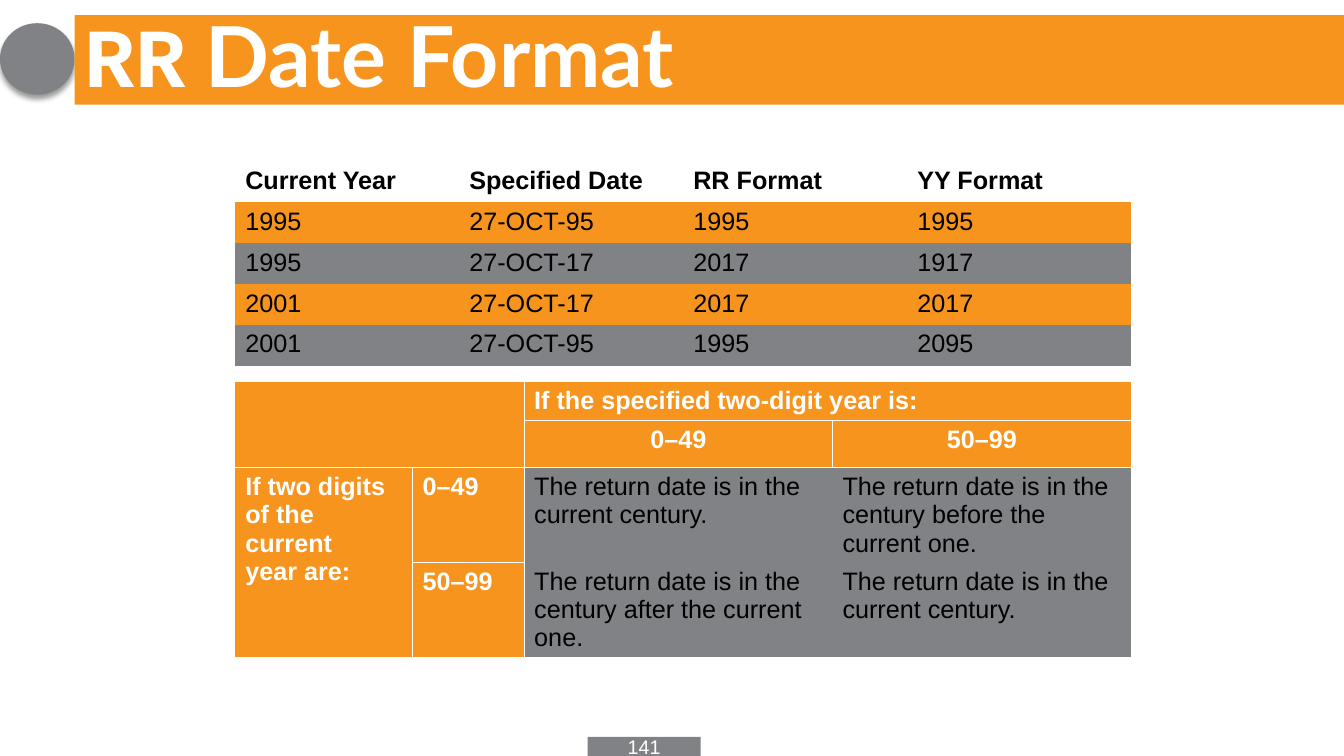
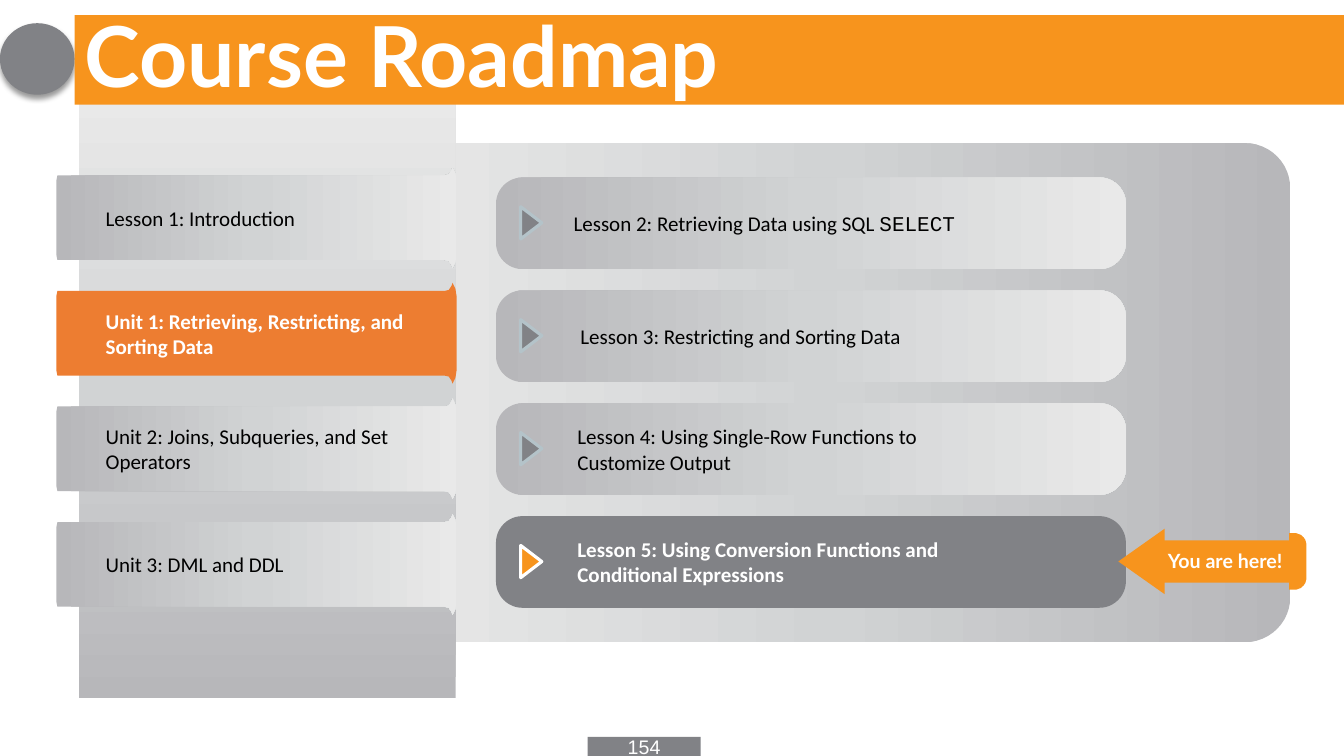
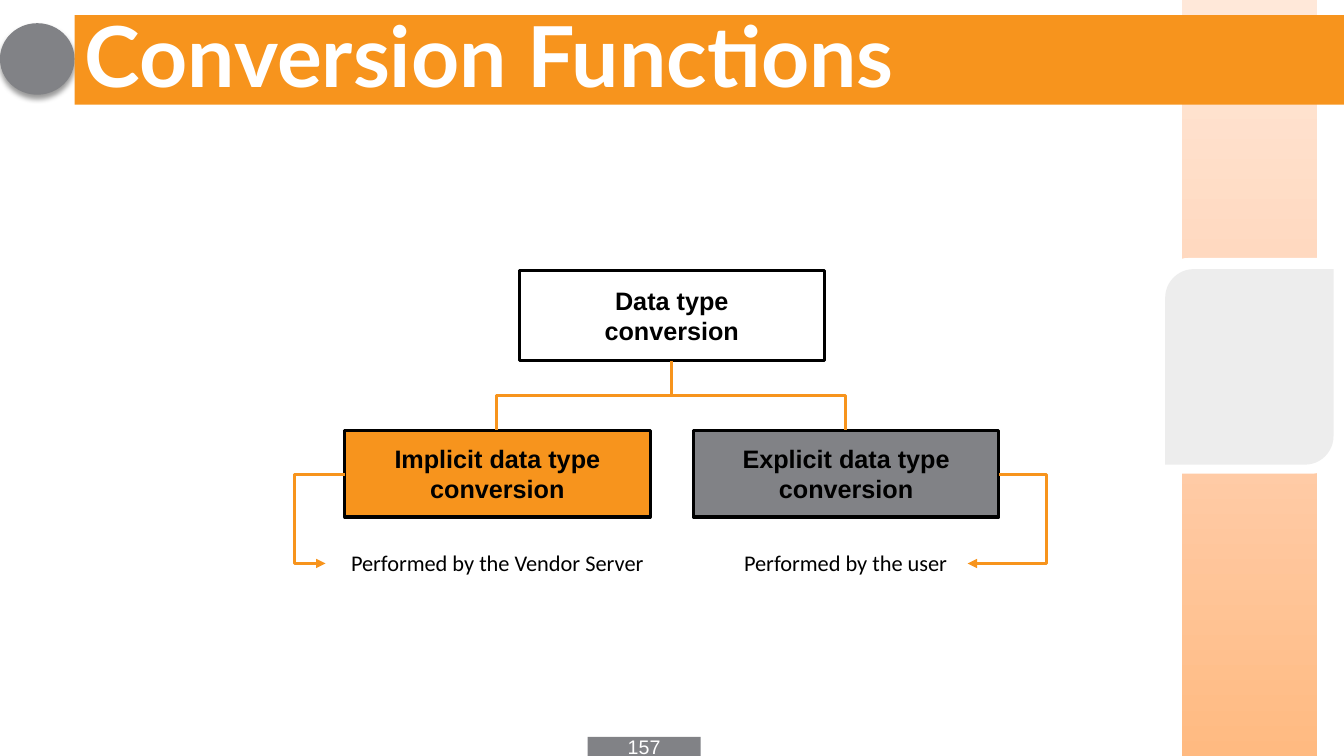
"""Builds three course slides: date formats, a roadmap and data type conversion."""
import lxml.etree
import pptx
import pptx.dml.color
import pptx.enum.shapes
import pptx.enum.text
import pptx.oxml
import pptx.oxml.ns
import pptx.util

SHAPE = pptx.enum.shapes.MSO_SHAPE
ALIGN = pptx.enum.text.PP_ALIGN
ANCHOR = pptx.enum.text.MSO_ANCHOR
RGB = pptx.dml.color.RGBColor.from_string
QN = pptx.oxml.ns.qn
NS = pptx.oxml.ns.nsdecls("a")
COLS, ROWS = 160, 90
CELL = pptx.util.Inches(1 / 12)


class Theme:
    orange, grey, unit = "F7941D", "818286", "ED7D31"
    black, white, pale, edge = "000000", "FFFFFF", "EDEDED", "B4C3C9"
    silver = ("B7B7BA", "D1D3D4", "E9E9E9")
    peach = ("FFBA81", "FFD1B3", "FFE8D9")
    mono = "Courier New"
    title = dict(size=60, name="Lato", bold=True, color=white)
    number = dict(size=14, name="Arial", bold=False, color=white)
    cell = dict(size=18, name="Arial", bold=False, color=black)
    head = dict(cell, bold=True)
    head_white = dict(head, color=white)
    item = dict(size=15, name="Calibri", bold=False, color=black)
    item_on = dict(item, bold=True, color=white)
    caption = dict(item, size=16)
    marker = dict(title, size=14)


def draw(shapes, kind, box, fill=None, line=None, adj=(), turn=0):
    x, y, w, h = [round(v * CELL) for v in box]
    if kind is None:
        sp = shapes.add_textbox(x, y, w, h)
    elif isinstance(kind, list):
        outline = kind + [(px, box[3] - py) for px, py in reversed(kind)]
        pts = [(x + round(px * CELL), y + round(py * CELL)) for px, py in outline]
        fb = shapes.build_freeform(*pts[0], scale=1.0)
        fb.add_line_segments(pts[1:], close=True)
        sp = fb.convert_to_shape()
    else:
        sp = shapes.add_shape(kind, x, y, w, h)
    sp.text_frame.word_wrap = True
    sp.text_frame.vertical_anchor = ANCHOR.MIDDLE
    if kind is None:
        return sp
    sp.shadow.inherit = False
    sp.rotation = turn
    for i, value in enumerate(adj):
        sp.adjustments[i] = value
    if isinstance(fill, tuple):
        colors, angle = fill
        stops = "".join(f'<a:gs pos="{i * 50000}"><a:srgbClr val="{c}"/></a:gs>'
                        for i, c in enumerate(colors))
        sp.element.spPr.insert(2, pptx.oxml.parse_xml(
            f'<a:gradFill {NS} rotWithShape="1"><a:gsLst>{stops}</a:gsLst>'
            f'<a:lin ang="{angle * 60000}" scaled="0"/></a:gradFill>'))
    elif fill:
        sp.fill.solid()
        sp.fill.fore_color.rgb = RGB(fill)
    else:
        sp.fill.background()
    if line:
        sp.line.color.rgb = RGB(line)
        sp.line.width = pptx.util.Pt(2.25)
    else:
        sp.line.fill.background()
    return sp


def write(tf, text, look, align=ALIGN.LEFT):
    for i, row in enumerate(text.split("\n")):
        p = tf.add_paragraph() if i else tf.paragraphs[0]
        p.alignment = align
        for j, part in enumerate(row.split("`")):
            if not part:
                continue
            r = p.add_run()
            r.text = part
            name = Theme.mono if j % 2 else look["name"]
            font = dict(size=pptx.util.Pt(look["size"]), bold=look["bold"], name=name)
            for key, value in font.items():
                setattr(r.font, key, value)
            r.font.color.rgb = RGB(look["color"])


prs = pptx.Presentation()
prs.slide_width, prs.slide_height = COLS * CELL, ROWS * CELL
layout = prs.slide_layouts[5]
dates, roadmap, conversion = [prs.slides.add_slide(layout) for _ in range(3)]

disc = draw(dates.shapes, SHAPE.OVAL, (0, 2.76, 8.88, 8.52), Theme.grey)
disc.element.xpath(".//p:cNvPr")[0].set("id", "20")
disc.element.spPr.find(QN("a:effectLst")).append(pptx.oxml.parse_xml(
    f'<a:outerShdw {NS} blurRad="50800" dist="38100" dir="5400000" algn="t" rotWithShape="0">'
    '<a:srgbClr val="000000"><a:alpha val="40000"/></a:srgbClr></a:outerShdw>'))
layout.shapes.element.append(disc.element)

cell_styles = {
    "h": (None, Theme.head, ALIGN.LEFT),
    "o": (Theme.orange, Theme.cell, ALIGN.LEFT),
    "g": (Theme.grey, Theme.cell, ALIGN.LEFT),
    "b": (Theme.orange, Theme.head_white, ALIGN.LEFT),
    "c": (Theme.orange, Theme.head_white, ALIGN.CENTER),
}
year_rows = [
    ("Current Year", "Specified Date", "RR Format", "YY Format"),
    ("1995", "27-OCT-95", "1995", "1995"),
    ("1995", "27-OCT-17", "2017", "1917"),
    ("2001", "27-OCT-17", "2017", "2017"),
    ("2001", "27-OCT-95", "1995", "2095"),
]
rule_rows = [
    ("", "", "If the specified two-digit year is:", ""),
    ("", "", "0–49", "50–99"),
    ("If two digits of the current\nyear are:", "0–49",
     "The return date is in the current century.",
     "The return date is in the century before the current one."),
    ("", "50–99", "The return date is in the century after the current one.",
     "The return date is in the current century."),
]
tables = [
    (19.2, [26.67] * 4, [4.88] * 5, year_rows, ["hhhh", "oooo", "gggg", "oooo", "gggg"], []),
    (45.48, [21.1, 13.3, 36.7, 35.6], [4.6, 5.6, 11.3, 11.3], rule_rows,
     ["bbbb", "bbcc", "bbgg", "bbgg"],
     [(0, 0, 1, 1), (0, 2, 0, 3), (2, 0, 3, 0)]),
]
for top, widths, heights, texts, keys, merges in tables:
    box = [round(v * CELL) for v in (28, top, sum(widths), sum(heights))]
    gf = dates.shapes.add_table(len(heights), len(widths), *box)
    tbl = gf.table
    gf.element.xpath(".//a:tableStyleId")[0].text = "{2D5ABB26-0587-4C30-8999-92F81FD0307C}"
    tbl.first_row = tbl.horz_banding = False
    for c, width in enumerate(widths):
        tbl.columns[c].width = round(width * CELL)
    for r, height in enumerate(heights):
        tbl.rows[r].height = round(height * CELL)
    for r1, c1, r2, c2 in merges:
        tbl.cell(r1, c1).merge(tbl.cell(r2, c2))
    for r, row in enumerate(texts):
        for c, text in enumerate(row):
            cell = tbl.cell(r, c)
            fill, look, align = cell_styles[keys[r][c]]
            write(cell.text_frame, text, look, align)
            if keys[r][c] in "bc":
                sides = [("lnR", c < 3), ("lnB", r < 3)]
                for side in [name for name, inner in sides if inner]:
                    cell._tc.get_or_add_tcPr().append(pptx.oxml.parse_xml(
                        f'<a:{side} {NS} w="12700"><a:solidFill>'
                        f'<a:srgbClr val="{Theme.white}"/></a:solidFill></a:{side}>'))
            if fill:
                cell.fill.solid()
                cell.fill.fore_color.rgb = RGB(fill)
            else:
                cell.fill.background()

draw(roadmap.shapes, SHAPE.ROUNDED_RECTANGLE, (44.64, 17.04, 108.96, 59.4),
     (Theme.silver, 180), adj=[0.09])
lessons = [
    ("Lesson 2: Retrieving Data using SQL `SELECT`", 67.1, 58.9, 4.2),
    ("Lesson 3: Restricting and Sorting Data", 67.92, 53.64, 4.2),
    ("Lesson 4: Using Single-Row Functions to Customize Output", 67.56, 53.64, 7.32),
    ("Lesson 5: Using Conversion Functions and Conditional Expressions", 67.56, 53.64, 7.32),
]
bar_h = 10.92
for i, (text, x, w, h) in enumerate(lessons):
    y = 21.12 + 13.44 * i
    here = i == 3
    draw(roadmap.shapes, SHAPE.ROUNDED_RECTANGLE, (59.04, y, 75, bar_h),
         Theme.grey if here else (Theme.silver, 0), adj=[0.29])
    draw(roadmap.shapes, SHAPE.ISOSCELES_TRIANGLE, (61.32, y + 4.15, 3.84, 2.52),
         Theme.orange if here else Theme.grey,
         Theme.white if here else Theme.edge, turn=90)
    sp = draw(roadmap.shapes, None, (x, y + (bar_h - h) / 2, w, h))
    write(sp.text_frame, text, Theme.item_on if here else Theme.item)

marker = roadmap.shapes.add_group_shape().shapes
wing = [(0, 0), (0.84, 0), (1.4, 0.2), (1.75, 0.55), (1.92, 1.08)]
ribbon = [(0, 0.36), (17.3, 0.36), (17.76, 0.3), (18, 0.12), (18, 0), (18.24, 0.3), (18.36, 0.72)]
draw(marker, wing, (153.48, 63.48, 1.92, 6.72), Theme.orange)
draw(marker, ribbon, (137.16, 63.96, 18.36, 5.76), Theme.orange)
draw(marker, SHAPE.ISOSCELES_TRIANGLE, (132, 64.08, 7.8, 5.52), Theme.orange, turn=270)
sp = draw(marker, SHAPE.RECTANGLE, (137.16, 64.8, 17.4, 4.08), Theme.orange)
sp.text_frame.vertical_anchor = ANCHOR.TOP
write(sp.text_frame, "You are here!", Theme.marker, ALIGN.CENTER)

draw(roadmap.shapes, SHAPE.RECTANGLE, (9.36, 11.04, 44.88, 72.12), (Theme.silver, 270))
tab = [(0, 1.56), (0.12, 0.96), (46.2, 0.96), (46.7, 0.85),
       (47.04, 0.36), (47.16, 0), (47.5, 0.7), (47.64, 1.56)]
units = [
    ("Lesson 1: Introduction", 31.92, 4.2),
    ("Unit 1: Retrieving, Restricting, and Sorting Data", 38.52, 7.32),
    ("Unit 2: Joins, Subqueries, and Set Operators", 39.12, 7.32),
    ("Unit 3: DML and DDL", 29.04, 4.2),
]
tab_h = 12
for i, (text, w, h) in enumerate(units):
    y = 19.92 + 13.76 * i
    here = i == 1
    draw(roadmap.shapes, tab, (6.72, y, 47.64, tab_h), Theme.unit if here else (Theme.silver, 0))
    sp = draw(roadmap.shapes, None, (11.4, y + (tab_h - h) / 2, w, h))
    write(sp.text_frame, text, Theme.item_on if here else Theme.item)

draw(conversion.shapes, SHAPE.RECTANGLE, (140.7, 0, 16.1, ROWS), (Theme.peach, 270))
nodes = [
    ("Implicit data type\nconversion", 41.04, 51.24, 10.32, Theme.orange),
    ("Explicit data type\nconversion", 82.56, 51.24, 10.32, Theme.grey),
    ("Data type\nconversion", 61.8, 32.16, 10.8, None),
]
for text, x, y, h, fill in nodes:
    sp = draw(conversion.shapes, SHAPE.RECTANGLE, (x, y, 36.36, h), fill, Theme.black)
    write(sp.text_frame, text, Theme.head, ALIGN.CENTER)
captions = [("Performed by the Vendor Server", 38.76, 40.92),
            ("Performed by the user", 86.16, 29.04)]
for text, x, w in captions:
    sp = draw(conversion.shapes, None, (x, 64.8, w, 4.44))
    sp.text_frame.vertical_anchor = ANCHOR.TOP
    write(sp.text_frame, text, Theme.caption, ALIGN.CENTER)

elbows = [
    (41.04, 38.76, 56.52, 10.56, 0, 261900, True),
    (118.92, 115.2, 56.52, 10.56, 0, -152800, True),
    (65.4, 73.68, 36.72, 20.76, 90, 50000, False),
    (94.44, 86.16, 36.72, 20.76, 270, 50000, False),
]
for x1, x2, y, h, turn, bend, arrow in elbows:
    ends = [round(v * CELL) for v in (x1, y, x2, y + h)]
    cx = conversion.shapes.add_connector(pptx.enum.shapes.MSO_CONNECTOR.ELBOW, *ends)
    cx.line.color.rgb = RGB(Theme.orange)
    cx.line.width = pptx.util.Pt(2.25)
    spPr = cx.element.spPr
    spPr.find(QN("a:xfrm")).set("rot", str(turn * 60000))
    lxml.etree.SubElement(spPr.xpath(".//a:avLst")[0], QN("a:gd"), name="adj1", fmla=f"val {bend}")
    if arrow:
        lxml.etree.SubElement(spPr.find(QN("a:ln")), QN("a:tailEnd"), type="triangle")
    lxml.etree.SubElement(spPr, QN("a:effectLst"))

for box, fill in [((137.76, 30.72, 22.08, 25.68), Theme.white),
                  ((138.72, 32.04, 20.04, 23.28), Theme.pale)]:
    draw(conversion.shapes, SHAPE.ROUND_2_DIAG_RECTANGLE, box, fill, adj=[0.17, 0])

pages = [(dates, "`RR` Date Format", "141"),
         (roadmap, "Course Roadmap", "154"),
         (conversion, "Conversion Functions", "157")]
for s, heading, number in pages:
    title = s.shapes.title
    s.shapes.element.append(title.element)
    place = dict(left=8.88, top=1.8, width=COLS - 8.88, height=10.65)
    for key, value in place.items():
        setattr(title, key, round(value * CELL))
    title.fill.solid()
    title.fill.fore_color.rgb = RGB(Theme.orange)
    tf = title.text_frame
    frame = dict(auto_size=pptx.enum.text.MSO_AUTO_SIZE.NONE,
                 vertical_anchor=ANCHOR.MIDDLE, word_wrap=True)
    for key, value in frame.items():
        setattr(tf, key, value)
    write(tf, heading, Theme.title)
    tf.paragraphs[0].line_spacing = 0.9
    sp = draw(s.shapes, SHAPE.RECTANGLE, (69.96, 87.72, 13.44, 2.28), Theme.grey)
    write(sp.text_frame, number, Theme.number, ALIGN.CENTER)

prs.save("out.pptx")
